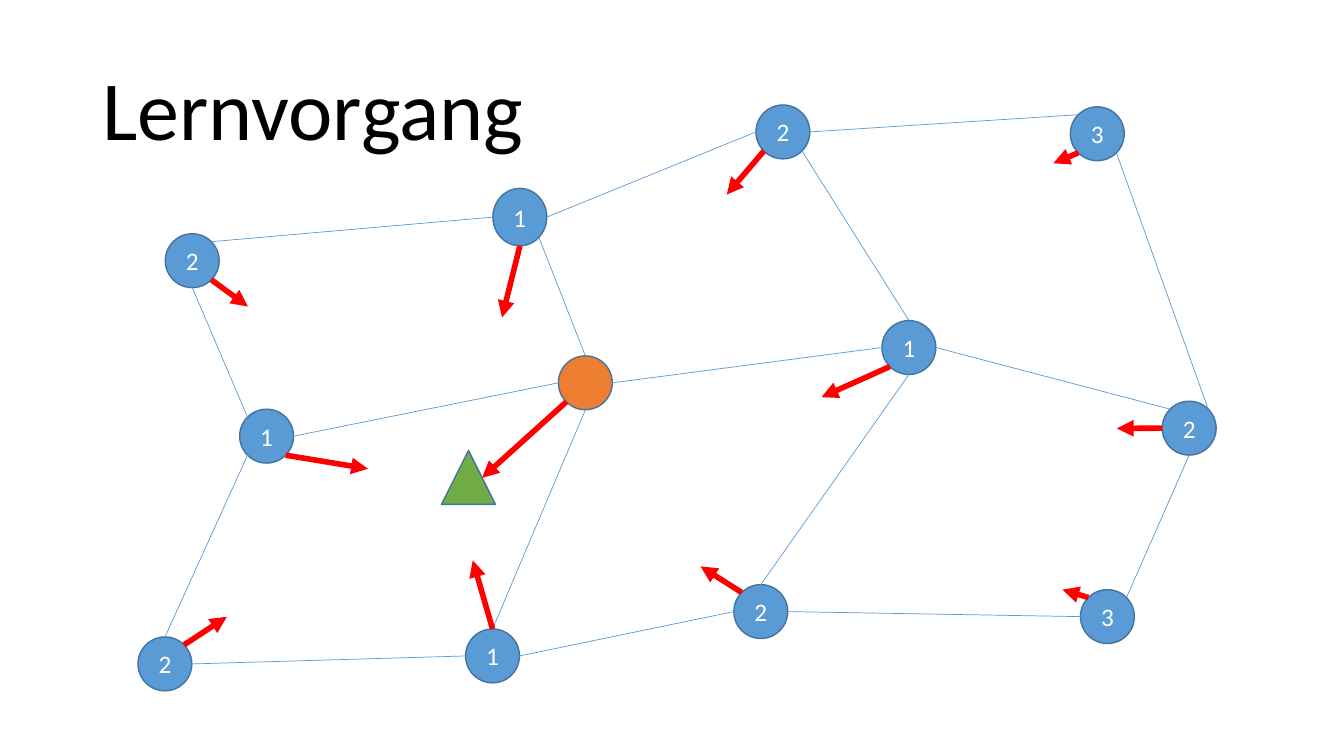
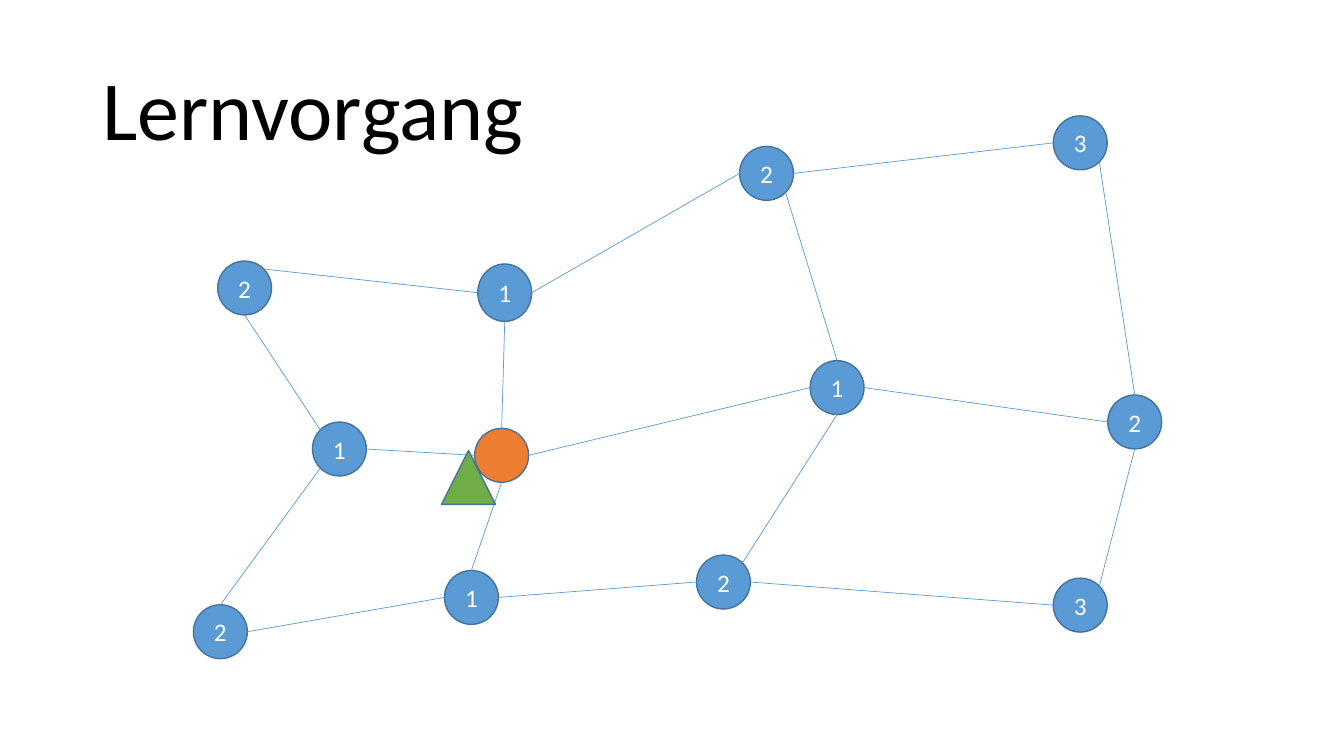
from math import cos, radians, sin

from lxml.etree import SubElement
from pptx import Presentation
from pptx.dml.color import RGBColor
from pptx.enum.shapes import MSO_CONNECTOR as Connector, MSO_SHAPE as Preset
from pptx.enum.text import MSO_ANCHOR as Anchor, MSO_AUTO_SIZE as AutoSize, PP_ALIGN as Align
from pptx.oxml.ns import qn
from pptx.util import Pt

FONT = "Calibri"
BLACK, WHITE = "000000", "FFFFFF"
BLUE, DARK_BLUE = "5B9BD5", "43739E"
ORANGE, GREEN, RED = "ED7D31", "70AD47", "FF0000"

SIZE = 38.5
TALL = 41
TARGET = (315.4, 321.8)

SITES = ["top", "top left", "left", "bottom left",
         "bottom", "bottom right", "right", "top right"]

LABELS = {
    "winner": "", "south": "1", "east": "1", "west": "1", "north": "1",
    "northwest": "2", "southwest": "2", "upper": "2", "lower": "2",
    "far east": "2", "northeast": "3", "southeast": "3",
}

EDGES = {
    ("northwest", "north"): ("top right", "left"),
    ("northwest", "west"): ("bottom", "top left"),
    ("west", "winner"): ("right", "left"),
    ("west", "southwest"): ("bottom left", "top"),
    ("north", "winner"): ("bottom right", "top"),
    ("north", "upper"): ("right", "left"),
    ("upper", "northeast"): ("right", "top left"),
    ("winner", "east"): ("right", "left"),
    ("upper", "east"): ("bottom right", "top"),
    ("winner", "south"): ("bottom", "top"),
    ("southwest", "south"): ("right", "left"),
    ("northeast", "far east"): ("bottom right", "top right"),
    ("east", "far east"): ("right", "top left"),
    ("southeast", "far east"): ("top right", "bottom"),
    ("lower", "east"): ("top", "bottom"),
    ("southeast", "lower"): ("left", "right"),
    ("south", "lower"): ("right", "left"),
}

EDGES_AFTER = EDGES | {
    ("north", "winner"): ("bottom", "top"),
    ("upper", "northeast"): ("right", "left"),
    ("northeast", "far east"): ("bottom right", "top"),
    ("east", "far east"): ("right", "left"),
    ("lower", "east"): ("top right", "bottom"),
}

BEFORE = {
    "winner": (398.9, 254.2), "south": (332.6, 449.3), "east": (630, 229),
    "west": (171.2, 292.3), "north": (352.1, 134.6), "northwest": (118.1, 167),
    "southwest": (98.6, 455), "upper": (540, 75), "lower": (524.2, 417.6),
    "far east": (830.2, 286.6), "northeast": (764.6, 76.3), "southeast": (771.8, 421.2),
}

AFTER = {
    "winner": (339.1, 306), "south": (317.5, 407.5), "east": (578.7, 257.6),
    "west": (223.2, 301.5), "north": (341.3, 188.6), "northwest": (155.5, 186.5),
    "southwest": (138.2, 432), "upper": (528.3, 104.6), "lower": (497.5, 396.5),
    "far east": (791.3, 282.2), "northeast": (752.4, 82.8), "southeast": (752.4, 413),
}

PULLS = [
    ("winner", "bottom left", (344.4, 341.3)),
    ("west", "bottom right", (262.8, 334.8)),
    ("southwest", "top right", (162, 440.6)),
    ("south", "top", (337.7, 400.3)),
    ("north", "bottom", (358.6, 226.8)),
    ("northwest", "bottom right", (177.1, 218.9)),
    ("east", "bottom left", (586.8, 283.7)),
    ("lower", "top left", (500.4, 404.6)),
    ("upper", "bottom left", (519.1, 139)),
    ("far east", "left", (797.8, 306)),
    ("northeast", "bottom left", (752.4, 116.6)),
    ("southeast", "top left", (758.9, 421.2)),
]


def color(value):
    return RGBColor.from_string(value)


def write(shape, text, size=18, fill=WHITE, align=Align.CENTER, spacing=1.0):
    frame = shape.text_frame
    frame.vertical_anchor = Anchor.MIDDLE
    frame.auto_size = AutoSize.NONE
    paragraph = frame.paragraphs[0]
    paragraph.alignment = align
    paragraph.line_spacing = spacing
    run = paragraph.add_run()
    run.text = text
    run.font.name = FONT
    run.font.size = Pt(size)
    run.font.color.rgb = color(fill)


def add_titled_slide(presentation, text):
    slide = presentation.slides.add_slide(presentation.slide_layouts[5])
    title = slide.shapes.title
    title.left, title.top = Pt(66), Pt(28.8)
    title.width, title.height = Pt(828), Pt(104.4)
    write(title, text, size=60, fill=BLACK, align=Align.LEFT, spacing=0.9)
    return slide


def add_figure(slide, preset, position, fill, height=SIZE):
    left, top = position
    shape = slide.shapes.add_shape(preset, Pt(left), Pt(top), Pt(SIZE), Pt(height))
    shape.shadow.inherit = False
    shape.fill.solid()
    shape.fill.fore_color.rgb = color(fill)
    shape.line.color.rgb = color(DARK_BLUE)
    shape.line.width = Pt(1)
    return shape


def add_node(slide, name, position):
    fill = ORANGE if name == "winner" else BLUE
    height = TALL if name == "north" else SIZE
    node = add_figure(slide, Preset.OVAL, position, fill, height)
    if LABELS[name]:
        write(node, LABELS[name])
    return node


def site_point(node, site):
    angle = radians(90 + 45 * SITES.index(site))
    x = node.left + node.width / 2 * (1 + cos(angle))
    y = node.top + node.height / 2 * (1 - sin(angle))
    return round(x), round(y)


def add_line(slide, start, end, fill, width):
    connector = slide.shapes.add_connector(Connector.STRAIGHT, *start, *end)
    connector.line.color.rgb = color(fill)
    connector.line.width = Pt(width)
    SubElement(connector._element.spPr, qn("a:effectLst"))
    return connector


def glue(connector, tag, node, site):
    properties = connector._element.find(qn("p:nvCxnSpPr")).find(qn("p:cNvCxnSpPr"))
    SubElement(properties, qn(tag), id=str(node.shape_id), idx=str(SITES.index(site)))


def add_edge(slide, first, first_site, second, second_site):
    connector = add_line(slide, site_point(first, first_site),
                         site_point(second, second_site), BLUE, 0.5)
    glue(connector, "a:stCxn", first, first_site)
    glue(connector, "a:endCxn", second, second_site)


def add_pull(slide, node, site, tip):
    end = [Pt(value) for value in tip]
    arrow = add_line(slide, site_point(node, site), end, RED, 4)
    glue(arrow, "a:stCxn", node, site)
    outline = arrow._element.spPr.find(qn("a:ln"))
    SubElement(outline, qn("a:tailEnd"), type="triangle")


def add_network(slide, positions, edges, pulls=()):
    nodes = {name: add_node(slide, name, position)
             for name, position in positions.items()}
    for (first, second), (first_site, second_site) in edges.items():
        add_edge(slide, nodes[first], first_site, nodes[second], second_site)
    add_figure(slide, Preset.ISOSCELES_TRIANGLE, TARGET, GREEN)
    for name, site, tip in pulls:
        add_pull(slide, nodes[name], site, tip)


def main():
    presentation = Presentation()
    presentation.slide_width, presentation.slide_height = Pt(960), Pt(540)
    for network in ((BEFORE, EDGES, PULLS), (AFTER, EDGES_AFTER)):
        slide = add_titled_slide(presentation, "Lernvorgang")
        add_network(slide, *network)
    presentation.save("out.pptx")


if __name__ == "__main__":
    main()
